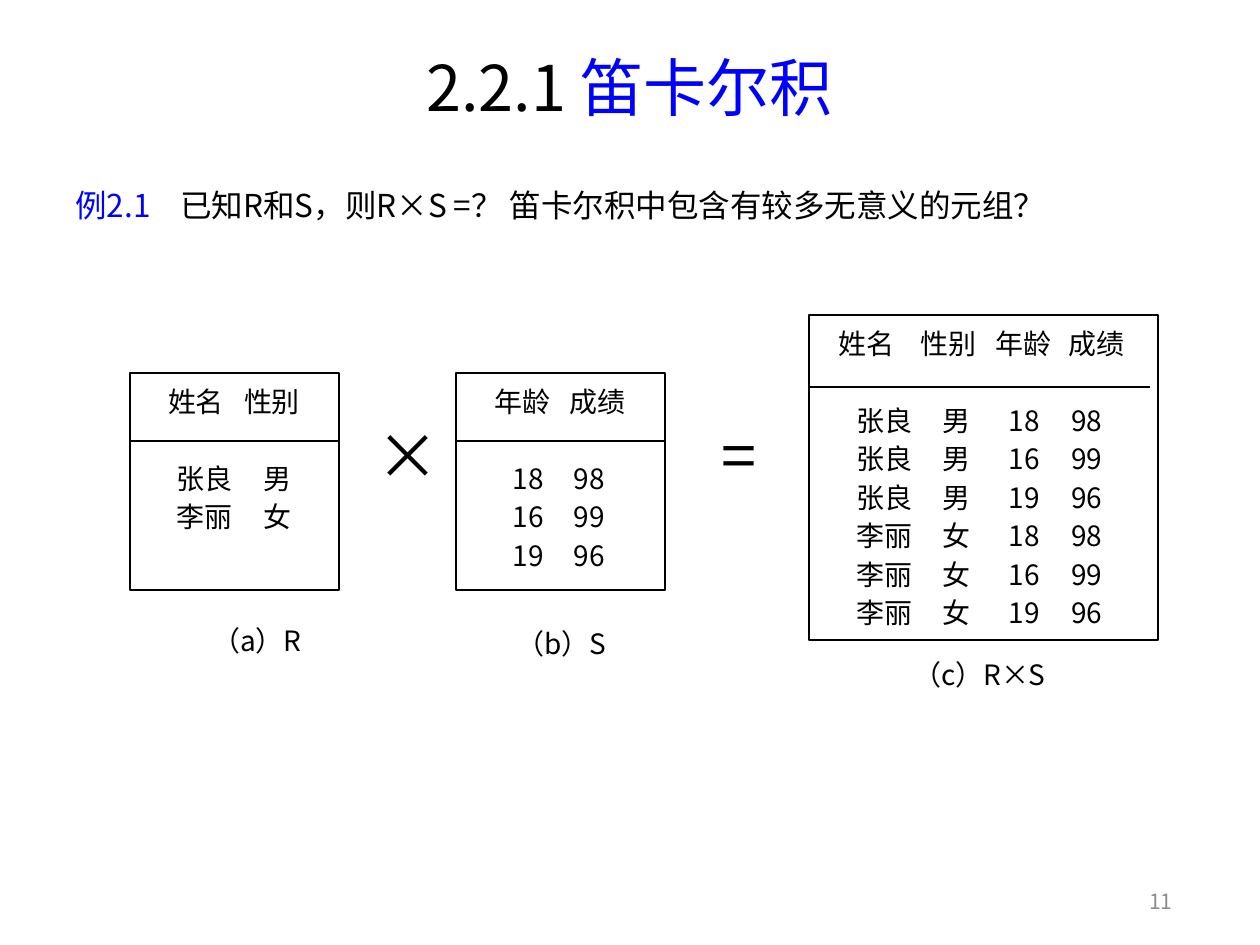
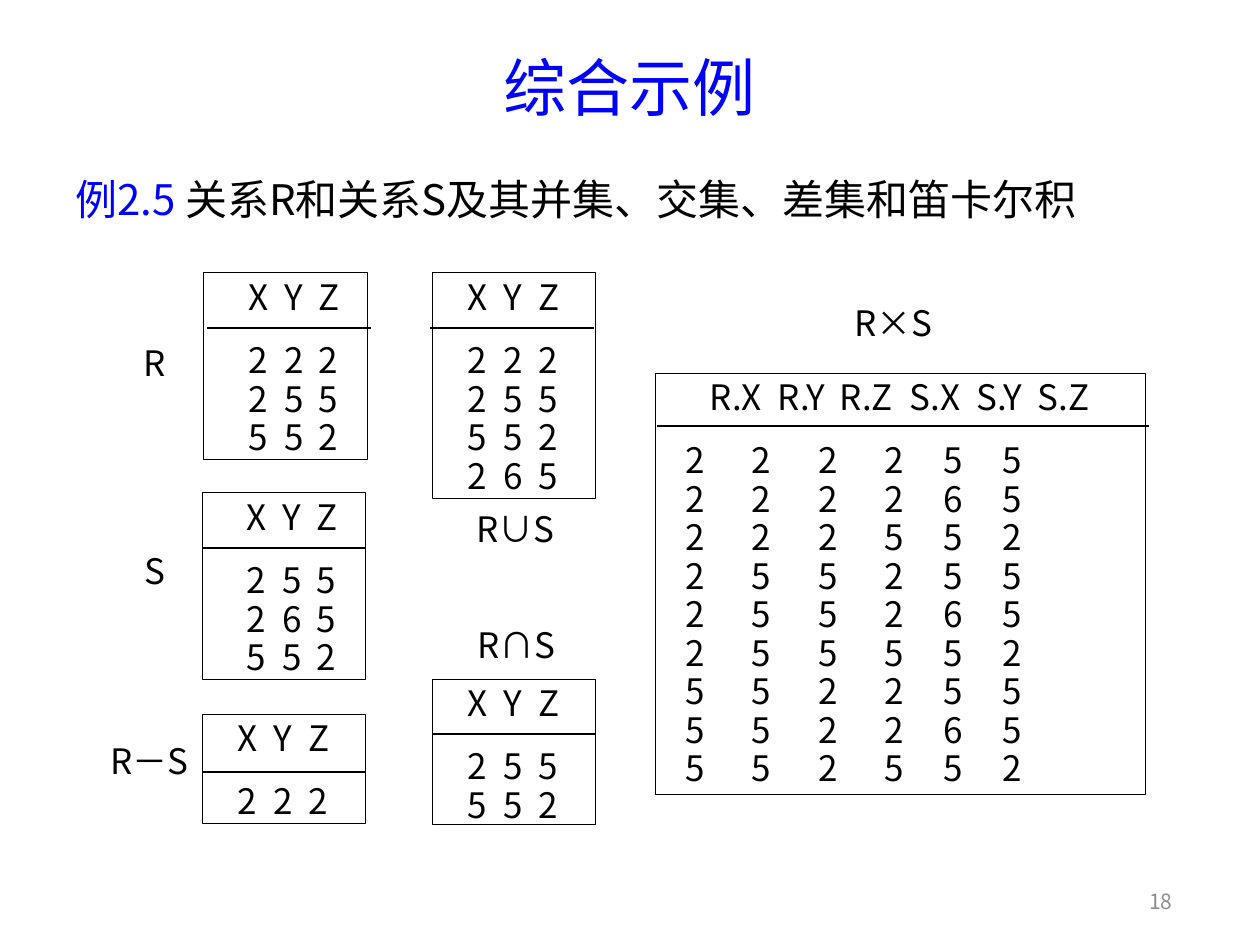
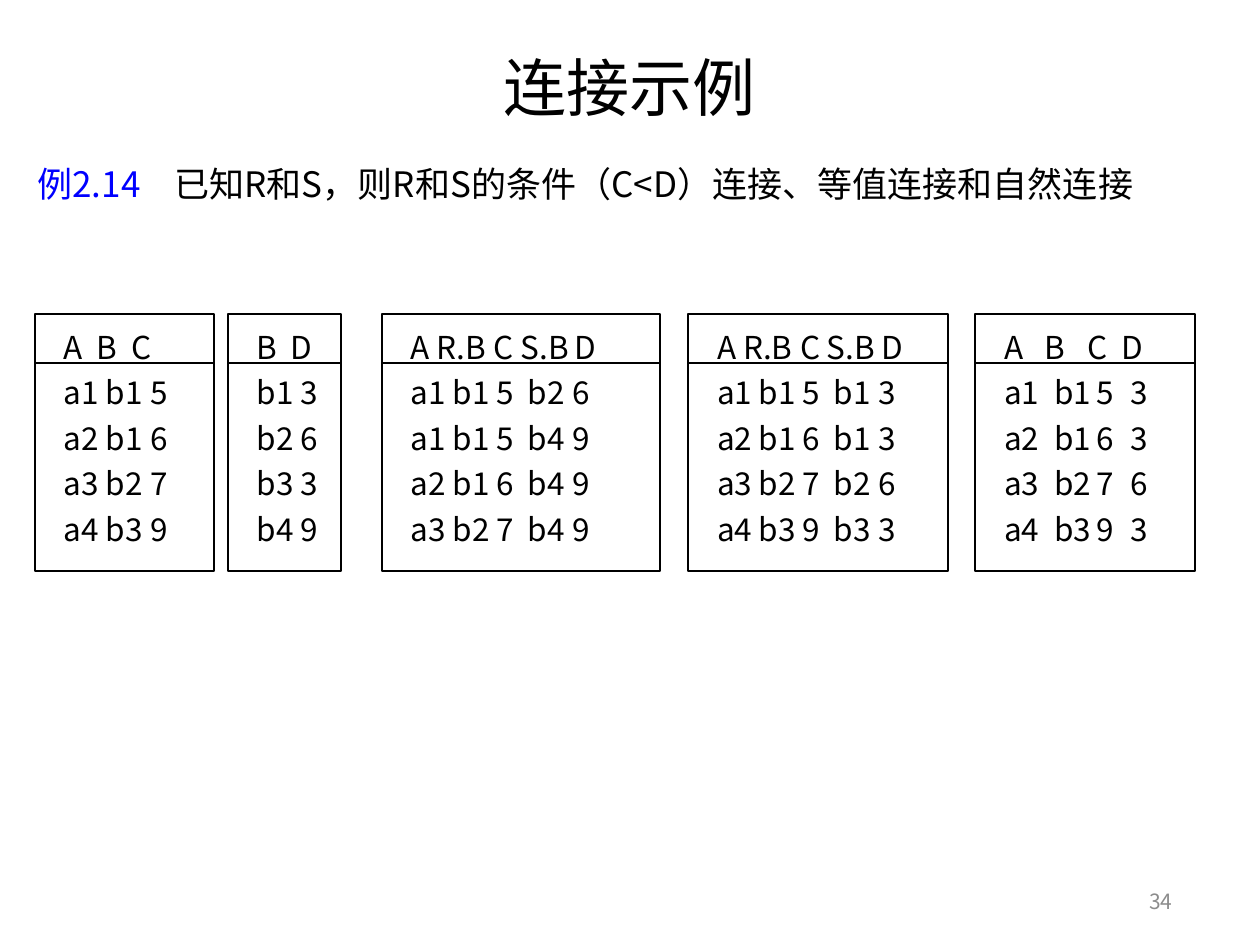
import pptx
import pptx.util
import pptx.dml.color
import pptx.enum.shapes
import pptx.enum.text
import lxml.etree

# Shared style
PX = 914400 / 126
FONT = "Noto Sans CJK SC"
BLACK, BLUE, GREY, WHITE = "000000", "0000FF", "8C8C8C", "FFFFFF"
TITLE_BOX = (63, 38, 1133, 97)
NUMBER_BOX = (903, 876, 282, 50)
ALIGN = pptx.enum.text.PP_ALIGN
ANCHOR = pptx.enum.text.MSO_ANCHOR
DRAWING = "{http://schemas.openxmlformats.org/drawingml/2006/main}"

# Column offsets from the left edge of a relation
XYZ_INDENTED = (45, 81, 115)
XYZ = (36, 72, 107)
JOIN_HEAD = (29, 55, 112, 139, 193)
JOIN_BODY = (29, 71, 115, 146, 191)

# A relation: box, rule (shift, offset from top, width), head and body columns, rows
# A label: text, box, size, alignment
SLIDES = [
    {
        "title": [("2.2.1 ", BLACK), ("笛卡尔积", BLUE)],
        "intro": ("例2.1\t", "已知R和S，则R×S =？ 笛卡尔积中包含有较多无意义的元组？"),
        "intro_box": (63, 155, 1134, 89), "intro_size": 18, "intro_tab": 105,
        "number": "11",
        "size": 16, "spacing": 22, "head_gap": 22, "line": 0.75,
        "relations": [
            ((130, 373, 209, 217), (0, 68, 209), (38, 114), (47, 133),
             ["姓名 性别", "张良 男", "李丽 女"]),
            ((456, 373, 209, 217), (0, 68, 209), (39, 114), (57, 118),
             ["年龄 成绩", "18 98", "16 99", "19 96"]),
            ((809, 315, 349, 325), (-1, 72, 342), (30, 112, 187, 260), (48, 134, 200, 262),
             ["姓名 性别 年龄 成绩", "张良 男 18 98", "张良 男 16 99", "张良 男 19 96",
              "李丽 女 18 98", "李丽 女 16 99", "李丽 女 19 96"]),
        ],
        "labels": [
            ("×", (364, 447, 78, 67), 36, ALIGN.JUSTIFY),
            ("=", (709, 447, 78, 67), 36, ALIGN.JUSTIFY),
            ("（a）R", (180, 612, 154, 67), 16, ALIGN.CENTER),
            ("（b）S", (464, 615, 195, 67), 16, ALIGN.CENTER),
            ("（c）R×S", (878, 646, 203, 67), 16, ALIGN.CENTER),
        ],
    },
    {
        "title": [("综合示例", BLUE)],
        "intro": ("例2.5 ", "关系R和关系S及其并集、交集、差集和笛卡尔积"),
        "intro_box": (63, 155, 1134, 100), "intro_size": 24, "intro_tab": None,
        "number": "18",
        "size": 20, "spacing": 22, "head_gap": 14, "line": 0.5,
        "relations": [
            ((204, 273, 164, 187), (3, 55, 164), XYZ_INDENTED, XYZ_INDENTED,
             ["X Y Z", "2 2 2", "2 5 5", "5 5 2"]),
            ((202, 493, 164, 187), (0, 55, 164), XYZ_INDENTED, XYZ_INDENTED,
             ["X Y Z", "2 5 5", "2 6 5", "5 5 2"]),
            ((655, 373, 491, 422), (2, 53, 492),
             (55, 123, 185, 255, 322, 383), (31, 97, 164, 230, 289, 348),
             ["R.X R.Y R.Z S.X S.Y S.Z",
              "2 2 2 2 5 5", "2 2 2 2 6 5", "2 2 2 5 5 2",
              "2 5 5 2 5 5", "2 5 5 2 6 5", "2 5 5 5 5 2",
              "5 5 2 2 5 5", "5 5 2 2 6 5", "5 5 2 5 5 2"]),
            ((202, 714, 164, 110), (0, 58, 164), XYZ, XYZ, ["X Y Z", "2 2 2"]),
            ((432, 273, 164, 226), (-2, 55, 164), XYZ, XYZ,
             ["X Y Z", "2 2 2", "2 5 5", "5 5 2", "2 6 5"]),
            ((432, 679, 164, 145), (0, 55, 164), XYZ, XYZ,
             ["X Y Z", "2 5 5", "5 5 2"]),
        ],
        "labels": [
            ("R×S", (835, 299, 117, 63), 20, ALIGN.CENTER),
            ("R", (131, 339, 84, 58), 20, ALIGN.JUSTIFY),
            ("S", (132, 547, 74, 55), 20, ALIGN.JUSTIFY),
            ("R－S", (98, 737, 108, 58), 20, ALIGN.JUSTIFY),
            ("R∪S", (451, 505, 129, 55), 20, ALIGN.CENTER),
            ("R∩S", (456, 621, 121, 55), 20, ALIGN.CENTER),
        ],
    },
    {
        "title": [("连接示例", BLACK)],
        "intro": ("例2.14\t", "已知R和S，则R和S的条件（C<D）连接、等值连接和自然连接"),
        "intro_box": (25, 135, 1211, 82), "intro_size": 20, "intro_tab": 137,
        "number": "34",
        "size": 18, "spacing": 26, "head_gap": 0, "line": 0.75,
        "relations": [
            ((35, 314, 179, 257), (0, 49, 179), (29, 62, 97), (29, 71, 116),
             ["A B C", "a1 b1 5", "a2 b1 6", "a3 b2 7", "a4 b3 9"]),
            ((228, 314, 113, 257), (0, 49, 113), (29, 63), (29, 73),
             ["B D", "b1 3", "b2 6", "b3 3", "b4 9"]),
            ((382, 314, 278, 257), (0, 49, 278), JOIN_HEAD, JOIN_BODY,
             ["A R.B C S.B D", "a1 b1 5 b2 6", "a1 b1 5 b4 9", "a2 b1 6 b4 9",
              "a3 b2 7 b4 9"]),
            ((688, 314, 260, 257), (0, 49, 260), JOIN_HEAD, JOIN_BODY,
             ["A R.B C S.B D", "a1 b1 5 b1 3", "a2 b1 6 b1 3", "a3 b2 7 b2 6",
              "a4 b3 9 b3 3"]),
            ((975, 314, 220, 257), (0, 49, 220), (29, 69, 112, 146), (29, 79, 122, 155),
             ["A B C D", "a1 b1 5 3", "a2 b1 6 3", "a3 b2 7 6", "a4 b3 9 3"]),
        ],
        "labels": [],
    },
]


def px(length):
    return pptx.util.Emu(round(length * PX))


def color(value):
    return pptx.dml.color.RGBColor.from_string(value)


def set_attributes(target, values):
    for name, value in values.items():
        setattr(target, name, value)


def add_run(paragraph, text, size, text_color):
    run = paragraph.add_run()
    run.text = text
    set_attributes(run.font, {"size": pptx.util.Pt(size), "name": FONT})
    run.font.color.rgb = color(text_color)
    east_asian = lxml.etree.SubElement(run.font._element, DRAWING + "ea")
    east_asian.set("typeface", FONT)


def add_tabs(paragraph, stops):
    tab_list = lxml.etree.SubElement(paragraph._p.get_or_add_pPr(), DRAWING + "tabLst")
    for stop in stops:
        tab = lxml.etree.SubElement(tab_list, DRAWING + "tab")
        tab.set("pos", str(px(stop)))
        tab.set("algn", "l")


def add_text(slide, box, runs, size, align, spacing=None, tabs=(), anchor=ANCHOR.TOP):
    shape = slide.shapes.add_textbox(*map(px, box))
    set_attributes(shape.text_frame, {"word_wrap": True, "vertical_anchor": anchor})
    paragraph = shape.text_frame.paragraphs[0]
    if tabs:
        add_tabs(paragraph, tabs)
    paragraph.alignment = align
    if spacing:
        paragraph.line_spacing = pptx.util.Pt(spacing)
    for text, text_color in runs:
        add_run(paragraph, text, size, text_color)


def add_title(slide, runs):
    title = slide.shapes.title
    left, top, width, height = map(px, TITLE_BOX)
    set_attributes(title, {"left": left, "top": top, "width": width, "height": height})
    set_attributes(title.text_frame, {
        "word_wrap": True, "vertical_anchor": ANCHOR.MIDDLE,
        "auto_size": pptx.enum.text.MSO_AUTO_SIZE.NONE})
    paragraph = title.text_frame.paragraphs[0]
    paragraph.alignment = ALIGN.CENTER
    for text, text_color in runs:
        add_run(paragraph, text, 36, text_color)


def add_relation(slide, content, relation):
    box, (shift, offset, rule_width), head_columns, body_columns, rows = relation
    shape = slide.shapes.add_shape(
        pptx.enum.shapes.MSO_SHAPE.RECTANGLE, *map(px, box))
    shape.shadow.inherit = False
    shape.fill.solid()
    shape.fill.fore_color.rgb = color(WHITE)
    shape.line.color.rgb = color(BLACK)
    shape.line.width = pptx.util.Pt(content["line"])
    frame = shape.text_frame
    set_attributes(frame, {"word_wrap": True, "vertical_anchor": ANCHOR.TOP,
                           "margin_left": 0, "margin_right": 0})

    # Every cell starts at a tab stop
    for index, row in enumerate(rows):
        paragraph = frame.add_paragraph() if index else frame.paragraphs[0]
        add_tabs(paragraph, body_columns if index else head_columns)
        set_attributes(paragraph, {"alignment": ALIGN.LEFT,
                                   "line_spacing": pptx.util.Pt(content["spacing"])})
        if index == 1:
            paragraph.space_before = pptx.util.Pt(content["head_gap"])
        cells = "".join("\t" + cell for cell in row.split())
        add_run(paragraph, cells, content["size"], BLACK)

    # Rule under the head row
    left, top = box[0] + shift, box[1] + offset
    rule = slide.shapes.add_connector(
        pptx.enum.shapes.MSO_CONNECTOR.STRAIGHT,
        px(left), px(top), px(left + rule_width), px(top))
    rule.line.color.rgb = color(BLACK)
    rule.line.width = pptx.util.Pt(0.75)
    lxml.etree.SubElement(rule._element.spPr, DRAWING + "effectLst")


def build_slide(presentation, content):
    slide = presentation.slides.add_slide(presentation.slide_layouts[5])
    add_title(slide, content["title"])
    example, statement = content["intro"]
    tabs = [content["intro_tab"]] if content["intro_tab"] else []
    add_text(slide, content["intro_box"], [(example, BLUE), (statement, BLACK)],
             content["intro_size"], ALIGN.LEFT, 36, tabs)
    for relation in content["relations"]:
        add_relation(slide, content, relation)
    for text, box, size, align in content["labels"]:
        add_text(slide, box, [(text, BLACK)], size, align, 22)
    add_text(slide, NUMBER_BOX, [(content["number"], GREY)], 12, ALIGN.RIGHT,
             anchor=ANCHOR.MIDDLE)


def main():
    presentation = pptx.Presentation()
    set_attributes(presentation, {"slide_width": px(1260), "slide_height": px(945)})
    for content in SLIDES:
        build_slide(presentation, content)
    presentation.save("out.pptx")


if __name__ == "__main__":
    main()
